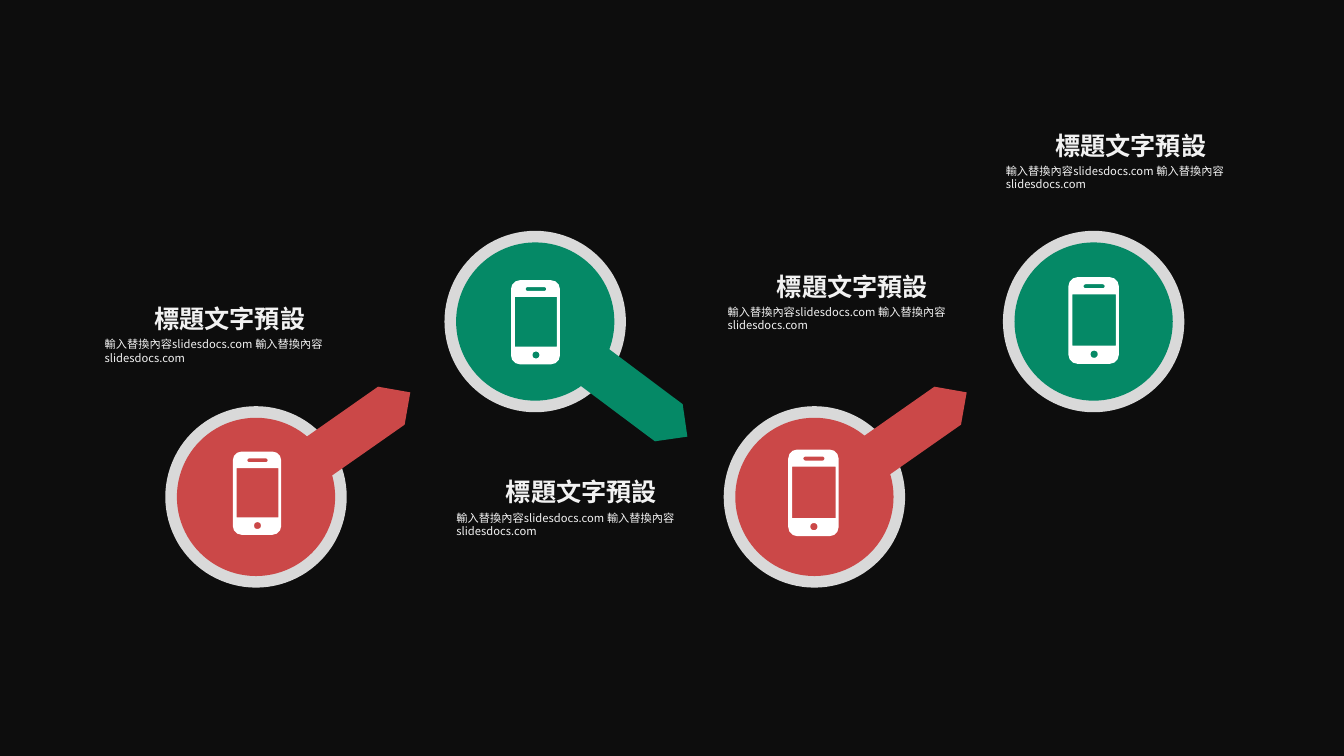
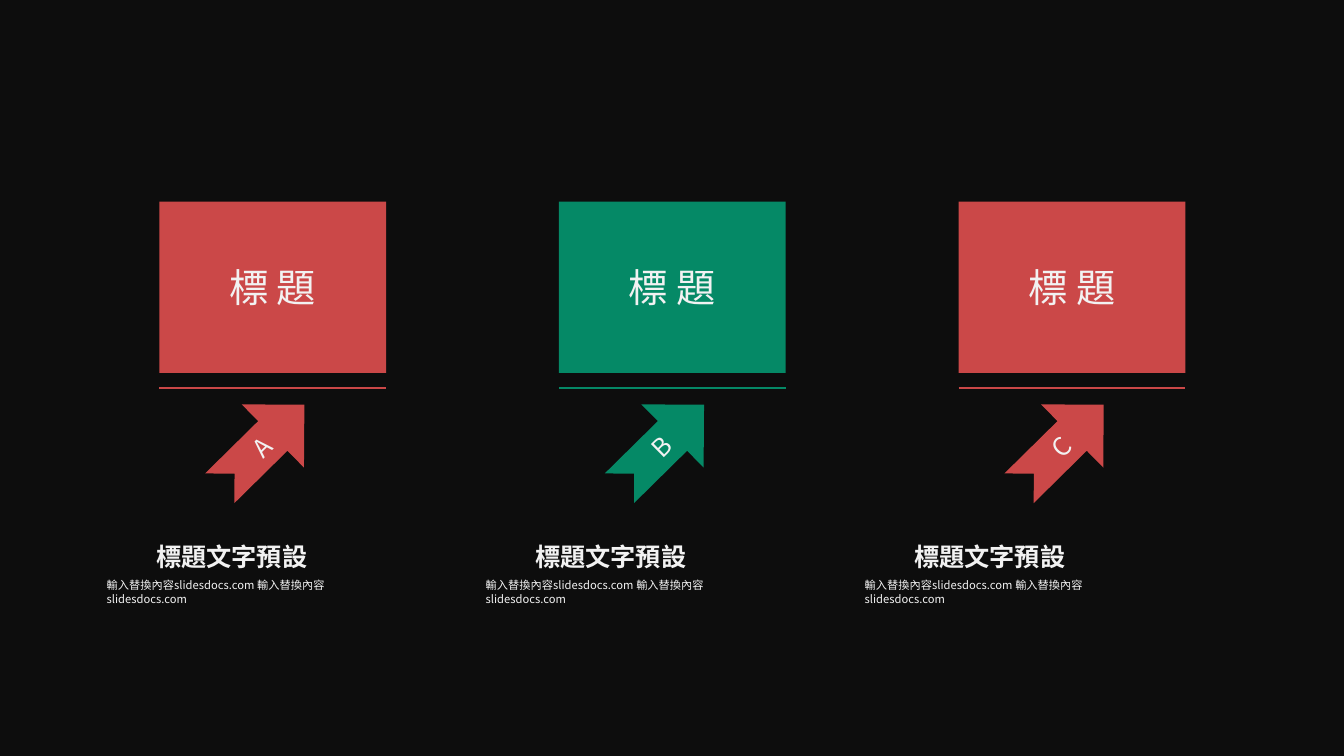
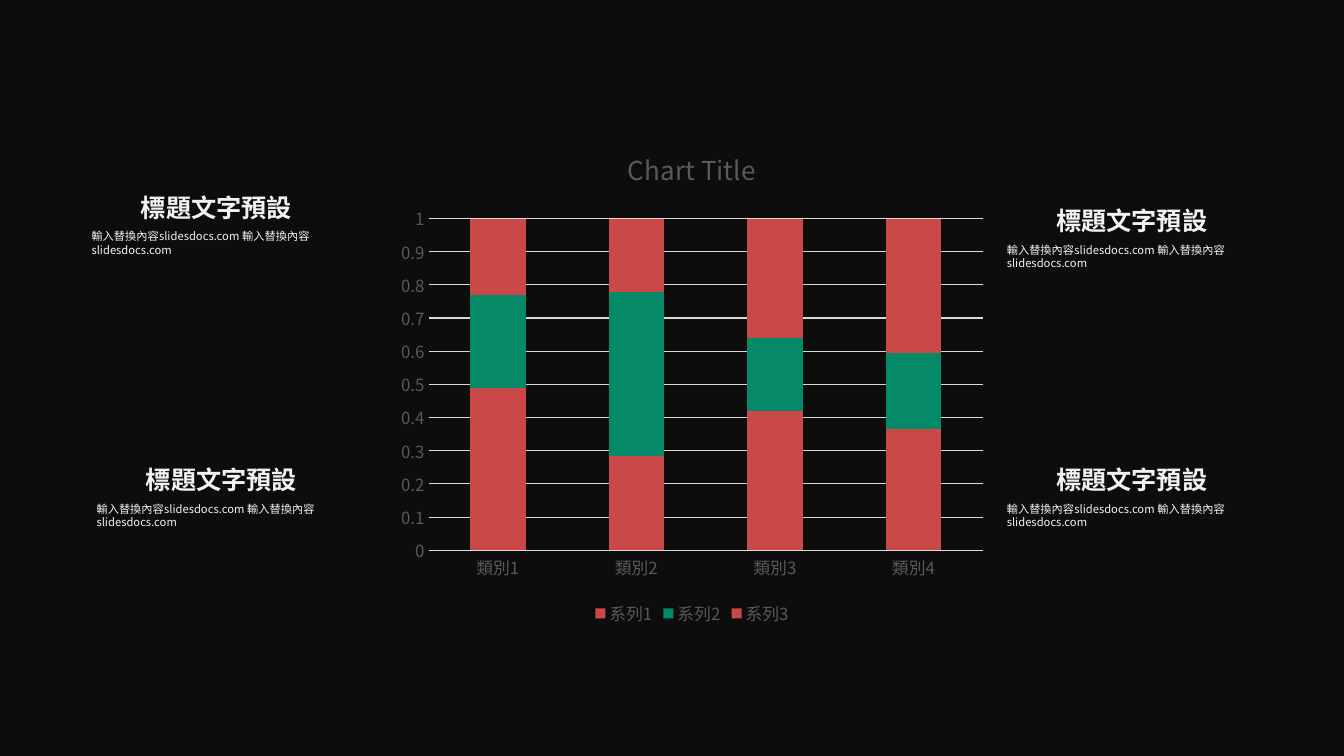
"""Build three dark slides: linked circles, arrow cards and a stacked chart."""
import itertools
import math

import lxml.etree
import pptx
import pptx.chart.data
import pptx.dml.color
import pptx.enum.chart
import pptx.enum.shapes
import pptx.enum.text
import pptx.oxml.ns
import pptx.util

Inches = pptx.util.Inches
Kind = pptx.enum.shapes.MSO_SHAPE
FACE = "Noto Sans CJK SC"
DARK, RED, GREEN = "0D0D0D", "CB4848", "058966"
PALE, WHITE, SILVER, GREY = "F2F2F2", "FFFFFF", "D9D9D9", "595959"
TONES = (RED, GREEN)
WIDE, HIGH = 40 / 3, 7.5
HEAD = "標題文字預設"
BODY = "輸入替換內容slidesdocs.com 輸入替換內容slidesdocs.com"


def tone(code):
    return pptx.dml.color.RGBColor.from_string(code)


def tag(node, name, **attrs):
    return lxml.etree.SubElement(node, pptx.oxml.ns.qn(name), **attrs)


def paint(fill, code):
    fill.solid()
    fill.fore_color.rgb = tone(code)


def style(font, size, code, bold=False):
    font.size = pptx.util.Pt(size)
    font.bold = bold
    font.color.rgb = tone(code)
    font.name = FACE
    tag(font._rPr, "a:ea", typeface=FACE)


def write(para, text, size, bold=False, track=0):
    run = para.add_run()
    run.text = text
    style(run.font, size, PALE, bold)
    if track:
        run._r.get_or_add_rPr().set("spc", str(track * 100))


def finish(shape, code):
    shape.shadow.inherit = False
    paint(shape.fill, code)
    shape.line.fill.background()


def block(slide, kind, left, top, wide, high, code, turn=0):
    shape = slide.shapes.add_shape(
        kind, Inches(left), Inches(top), Inches(wide), Inches(high))
    finish(shape, code)
    shape.rotation = turn
    return shape


def label(shape, text, size, track=0):
    frame = shape.text_frame
    frame.vertical_anchor = pptx.enum.text.MSO_ANCHOR.MIDDLE
    para = frame.paragraphs[0]
    para.alignment = pptx.enum.text.PP_ALIGN.CENTER
    write(para, text, size, track=track)


def rule(slide, left, top, wide, code):
    line = slide.shapes.add_connector(
        pptx.enum.shapes.MSO_CONNECTOR.STRAIGHT,
        Inches(left), Inches(top), Inches(left + wide), Inches(top))
    line.line.color.rgb = tone(code)
    line.line.width = pptx.util.Pt(1)
    tag(line._element.spPr, "a:effectLst")


def lines(slide, left, top, wide, high, text, size, bold=False):
    box = slide.shapes.add_textbox(
        Inches(left), Inches(top), Inches(wide), Inches(high))
    box.text_frame.word_wrap = True
    write(box.text_frame.paragraphs[0], text, size, bold)


def note(slide, left, top, gap):
    lines(slide, left - 0.49, top + gap, 2.77, 0.61, BODY, 8)
    lines(slide, left, top, 2.4, 0.38, HEAD, 18, True)


def curve(left, top, wide, high, bend):
    """Return the outline of a rectangle with round corners."""
    hubs = ((left + wide - bend, top + high - bend), (left + bend, top + high - bend),
            (left + bend, top + bend), (left + wide - bend, top + bend))
    steps = range(4) if bend else (0,)
    return [(x + bend * math.cos(math.radians(90 * turn + 30 * step)),
             y + bend * math.sin(math.radians(90 * turn + 30 * step)))
            for turn, (x, y) in enumerate(hubs) for step in steps]


def phone(slide, left, top, size):
    parts = (curve(0, 0, 0.5, 0.86, 0.09), curve(0.04, 0.17, 0.43, 0.51, 0),
             curve(0.15, 0.07, 0.21, 0.04, 0.02), curve(0.22, 0.73, 0.07, 0.07, 0.03))
    pen = None
    for part in parts:
        dots = [(Inches(left + x * size), Inches(top + y * size)) for x, y in part]
        if pen is None:
            pen = slide.shapes.build_freeform(*dots[0])
        else:
            pen.move_to(*dots[0])
        pen.add_line_segments(dots[1:], close=True)
    finish(pen.convert_to_shape(), WHITE)


def chain(slide):
    """Draw four linked circles with phones and notes."""
    ring, disc = 1.8, 1.57
    edge = (ring - disc) / 2
    tops = (4.03, 2.29)
    for step in range(4):
        left, top = 1.64 + 2.77 * step, tops[step % 2]
        block(slide, Kind.OVAL, left, top, ring, ring, SILVER)
        block(slide, Kind.OVAL, left + edge, top + edge, disc, disc, TONES[step % 2])
    links = ((4.01, 325), (3.74, 36.8), (4.01, 325))
    for step, (top, turn) in enumerate(links):
        block(slide, Kind.PENTAGON, 2.97 + 2.76 * step, top, 1.21, 0.46,
              TONES[step % 2], turn)
    for spot in ((2.31, 4.48, 0.96), (5.07, 2.78, 0.97), (7.82, 4.46, 1), (10.6, 2.75, 1)):
        phone(slide, *spot)
    for left, top in ((1.43, 2.96), (4.92, 4.68), (7.61, 2.64), (10.37, 1.24)):
        note(slide, left, top, 0.34)


def cards(slide):
    """Draw three cards with lettered arrows and notes."""
    pitch = (9.51 - 1.58) / 2
    for step, mark in enumerate("ABC"):
        left, code = 1.58 + pitch * step, TONES[step % 2]
        rule(slide, left, 3.85, 2.25, code)
        arrow = block(slide, Kind.NOTCHED_RIGHT_ARROW, left + 0.43, 3.99,
                      1.18, 0.88, code, 315.4)
        arrow.adjustments[0] = 0.47
        arrow.adjustments[1] = 0.5
        label(arrow, mark, 18)
        label(block(slide, Kind.RECTANGLE, left, 2, 2.25, 1.7, code), "標題", 28, 6)
        note(slide, 1.45 + 3.76 * step, 5.32, 0.37)


def trim(axis):
    axis.major_tick_mark = axis.minor_tick_mark = pptx.enum.chart.XL_TICK_MARK.NONE
    style(axis.tick_labels.font, 12, GREY)


def thin(line):
    line.color.rgb = tone(SILVER)
    line.width = pptx.util.Pt(0.75)


def graph(slide):
    """Draw the stacked chart between four notes."""
    for left, top in ((1.3, 1.86), (10.38, 1.99), (1.35, 4.56), (10.38, 4.56)):
        note(slide, left, top, 0.37)
    data = pptx.chart.data.CategoryChartData()
    data.categories = [f"類別{num}" for num in range(1, 5)]
    rows = ((49, 28, 42, 37), (28, 49, 22, 23), (23, 22, 36, 41))
    for num, row in enumerate(rows, 1):
        data.add_series(f"系列{num}", row)
    chart = slide.shapes.add_chart(
        pptx.enum.chart.XL_CHART_TYPE.COLUMN_STACKED_100, Inches(3.86), Inches(1.26),
        Inches(6.01), Inches(4.99), data).chart
    style(chart.font, 10, "000000")
    chart.has_title = True
    run = chart.chart_title.text_frame.paragraphs[0].add_run()
    run.text = "Chart Title"
    style(run.font, 18.6, GREY)
    chart.chart_title.include_in_layout = False
    chart.has_legend = True
    chart.legend.position = pptx.enum.chart.XL_LEGEND_POSITION.BOTTOM
    chart.legend.include_in_layout = False
    style(chart.legend.font, 12, GREY)
    trim(chart.category_axis)
    thin(chart.category_axis.format.line)
    values = chart.value_axis
    trim(values)
    values.format.line.fill.background()
    thin(values.major_gridlines.format.line)
    values.tick_labels.number_format = "General"
    values.tick_labels.number_format_is_linked = False
    plot = chart.plots[0]
    plot.gap_width, plot.overlap = 150, 100
    plot.vary_by_categories = False
    for series, code in zip(plot.series, itertools.cycle(TONES)):
        paint(series.format.fill, code)


def backdrop(deck, slide):
    """Move a full-size dark panel behind everything on the master."""
    panel = block(slide, Kind.RECTANGLE, 0, 0, WIDE, HIGH, DARK)
    deck.slide_master.shapes._spTree.insert(2, panel._element)


def main():
    deck = pptx.Presentation()
    deck.slide_width, deck.slide_height = Inches(WIDE), Inches(HIGH)
    paint(deck.slide_master.background.fill, WHITE)
    slides = [deck.slides.add_slide(deck.slide_layouts[6]) for _ in range(3)]
    backdrop(deck, slides[0])
    for draw, slide in zip((chain, cards, graph), slides):
        draw(slide)
    deck.save("out.pptx")


if __name__ == "__main__":
    main()
